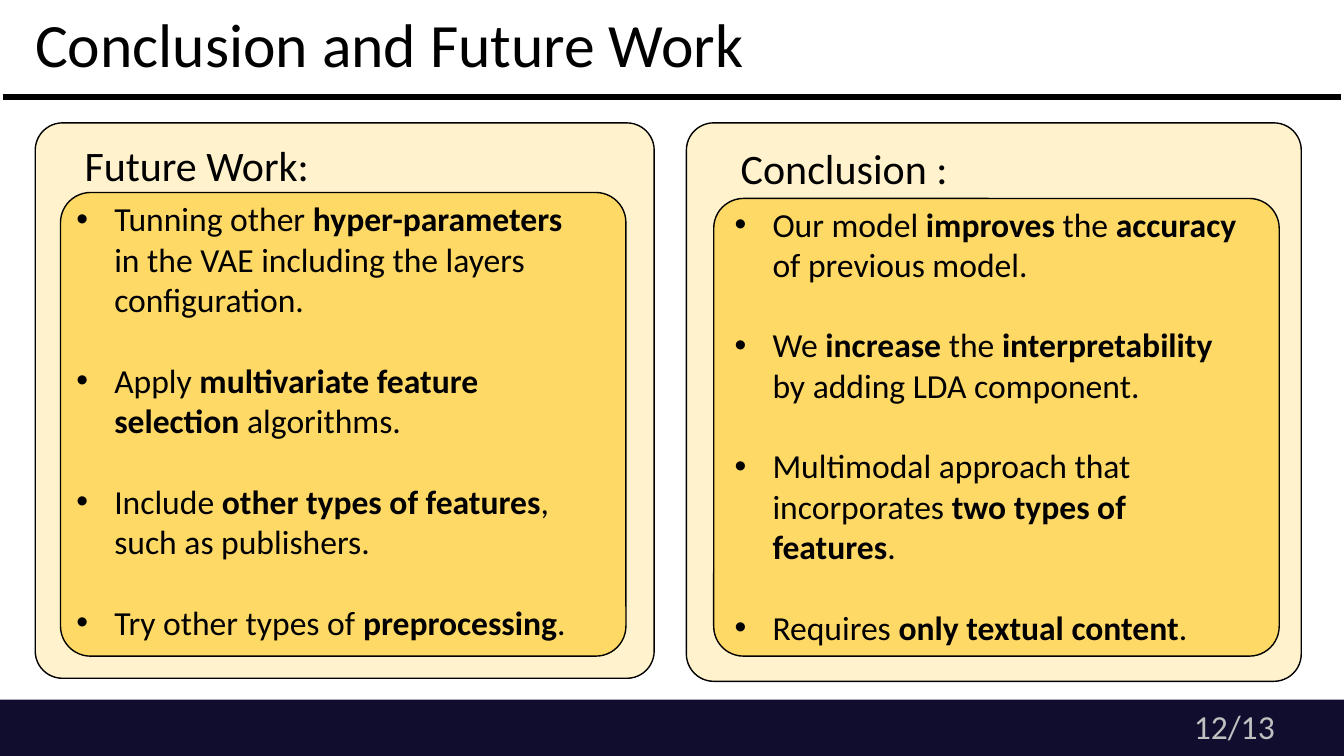
import pptx
import pptx.dml.color
import pptx.enum.shapes
import pptx.enum.text
import pptx.util
from lxml import etree

Pt = pptx.util.Pt
SHAPE = pptx.enum.shapes.MSO_SHAPE
ANCHOR = pptx.enum.text.MSO_ANCHOR

TITLE = "Conclusion and Future Work"
PAGE = "12/13"
# Boxes are (left, top, width, height); ** switches bold on and off.
PANELS = [
    {
        "heading": "Future Work:",
        "outer": (25.2, 87.8, 442.1, 396.7),
        "inner": (43.2, 137.5, 403.9, 331.2),
        "heading_box": (53.3, 95.8, 205.2, 43.9),
        "points_box": (47.5, 138.2, 366.5, 326.9),
        "points": [
            "Tunning other **hyper-parameters** in the VAE including the layers configuration.",
            "Apply **multivariate feature selection **algorithms.",
            "Include **other types of features**, such as publishers.",
            "Try other types of **preprocessing**.",
        ],
    },
    {
        "heading": "Conclusion :",
        "outer": (490.3, 87.8, 439.2, 398.9),
        "inner": (509.8, 141.8, 403.9, 326.9),
        "heading_box": (522, 98.6, 205.2, 43.9),
        "points_box": (517.7, 141.8, 375.8, 326.9),
        "points": [
            "Our model** improves **the **accuracy **of previous model.",
            "We** increase **the** interpretability **by adding LDA component.",
            "Multimodal approach that incorporates **two types of features**.",
            "Requires **only textual content**.",
        ],
    },
]

WIDTH, HEIGHT = 960, 540
FOOTER_TOP = 499.7
RULE_Y = 69.1
BULLET_INDENT = 27
POINT_GAP = 28.8
BLACK, CREAM, GOLD, NAVY, GREY = "000000", "FFF2CC", "FFD966", "100D2F", "BFBFBF"


def color(code):
    return pptx.dml.color.RGBColor.from_string(code)


def add_panel(slide, kind, box, fill, corner=None, outlined=True):
    panel = slide.shapes.add_shape(kind, *map(Pt, box))
    panel.shadow.inherit = False
    panel.fill.solid()
    panel.fill.fore_color.rgb = color(fill)
    if corner is not None:
        panel.adjustments[0] = corner
    if outlined:
        panel.line.color.rgb = color(BLACK)
        panel.line.width = Pt(1)
    else:
        panel.line.fill.background()


def style(font, size, code):
    font.name = "Calibri"
    font.size = Pt(size)
    font.color.rgb = color(code)


def add_frame(slide, box, anchor=ANCHOR.TOP):
    frame = slide.shapes.add_textbox(*map(Pt, box)).text_frame
    frame.word_wrap = True
    frame.vertical_anchor = anchor
    return frame


def add_label(slide, box, text, size, code=BLACK, anchor=ANCHOR.TOP):
    frame = add_frame(slide, box, anchor)
    frame.text = text
    style(frame.paragraphs[0].runs[0].font, size, code)
    return frame


def add_bullet(paragraph):
    properties = paragraph._p.get_or_add_pPr()
    properties.set("marL", str(Pt(BULLET_INDENT)))
    properties.set("indent", str(-Pt(BULLET_INDENT)))
    namespace = properties.nsmap["a"]
    font = etree.SubElement(properties, f"{{{namespace}}}buFont")
    font.set("typeface", "Arial")
    bullet = etree.SubElement(properties, f"{{{namespace}}}buChar")
    bullet.set("char", "•")


def add_points(slide, box, points):
    frame = add_frame(slide, box)
    for number, point in enumerate(points):
        paragraph = frame.add_paragraph() if number else frame.paragraphs[0]
        add_bullet(paragraph)
        if number:
            paragraph.space_before = Pt(POINT_GAP)
        for part, words in enumerate(point.split("**")):
            run = paragraph.add_run()
            run.text = words
            style(run.font, 24, BLACK)
            run.font.bold = part % 2 == 1


def add_title_rule(slide):
    rule = slide.shapes.add_connector(
        pptx.enum.shapes.MSO_CONNECTOR.STRAIGHT,
        Pt(2), Pt(RULE_Y), Pt(WIDTH - 2), Pt(RULE_Y))
    rule.line.color.rgb = color(BLACK)
    rule.line.width = Pt(4.5)
    properties = rule._element.spPr
    etree.SubElement(properties, f"{{{properties.nsmap['a']}}}effectLst")


def main():
    deck = pptx.Presentation()
    deck.slide_width, deck.slide_height = Pt(WIDTH), Pt(HEIGHT)
    slide = deck.slides.add_slide(deck.slide_layouts[6])

    title = add_label(slide, (18, -18, 679.7, 104.4), TITLE, 44, anchor=ANCHOR.MIDDLE)
    title.paragraphs[0].line_spacing = 0.9
    add_title_rule(slide)

    for panel in PANELS:
        add_panel(slide, SHAPE.ROUNDED_RECTANGLE, panel["outer"], CREAM, 0.049)
        add_panel(slide, SHAPE.ROUNDED_RECTANGLE, panel["inner"], GOLD, 0.065)
        add_label(slide, panel["heading_box"], panel["heading"], 30)
        add_points(slide, panel["points_box"], panel["points"])

    footer = (0, FOOTER_TOP, WIDTH, HEIGHT - FOOTER_TOP)
    add_panel(slide, SHAPE.RECTANGLE, footer, NAVY, outlined=False)
    page = add_label(slide, (843.1, 498.2, 100.8, 40.3), PAGE, 24, GREY, ANCHOR.MIDDLE)
    page.margin_left = page.margin_right = Pt(9.6)
    page.margin_top = page.margin_bottom = Pt(4.8)

    deck.save("out.pptx")


if __name__ == "__main__":
    main()
